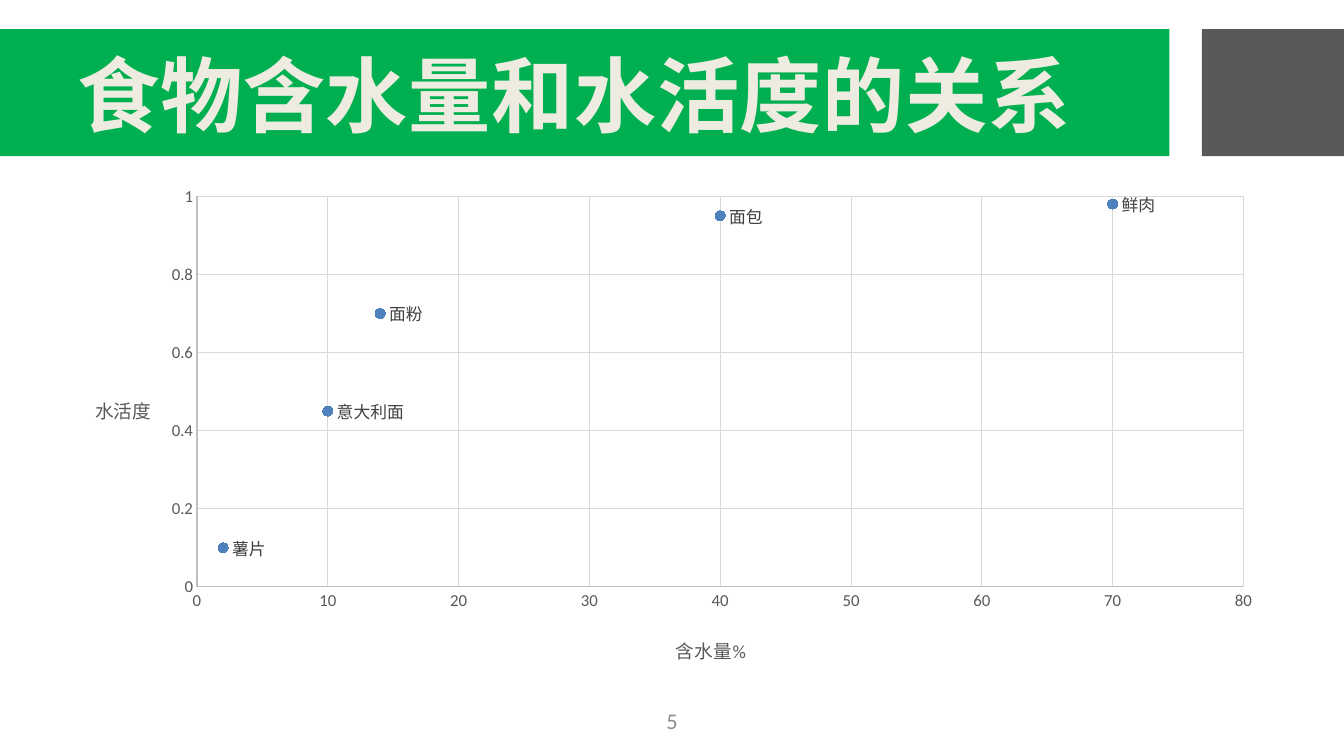
from lxml import etree
from pptx import Presentation
from pptx import util as u
from pptx.chart.data import XyChartData
from pptx.dml.color import RGBColor
from pptx.enum import chart as charts, shapes, text
from pptx.oxml.ns import qn

COLORS = {
    "green": "00B050", "gray": "595959", "cream": "EEECE1", "blue": "4F81BD",
    "axis": "BFBFBF", "grid": "D9D9D9", "label": "404040", "number": "8C8C8C",
}
FOODS = [("鲜肉", 70, 0.98), ("面包", 40, 0.95), ("面粉", 14, 0.7),
         ("意大利面", 10, 0.45), ("薯片", 2, 0.1)]


def place(parent, before, **values):
    """Give a chart part a manual layout, in fractions of the chart."""
    for old in parent.findall(qn("c:layout")):
        parent.remove(old)
    layout = etree.Element(qn("c:layout"))
    manual = etree.SubElement(layout, qn("c:manualLayout"))
    for name, value in values.items():
        etree.SubElement(manual, qn(f"c:{name}")).set("val", str(value))
    parent.find(qn(before)).addprevious(layout)


class SlideBuilder:
    def __init__(self, page):
        self.page = page

    def color(self, name):
        return RGBColor.from_string(COLORS[name])

    def style(self, font, size, color, name="Calibri", bold=False):
        font.size, font.name, font.bold = u.Pt(size), name, bold
        font.color.rgb = self.color(color)

    def line(self, line, color):
        line.color.rgb = self.color(color)
        line.width = u.Pt(0.75)

    def band(self, left, width, color):
        box = self.page.shapes.add_shape(
            shapes.MSO_SHAPE.RECTANGLE, u.Inches(left), u.Inches(0.29),
            u.Inches(width), u.Inches(1.26))
        box.shadow.inherit = False
        box.fill.solid()
        box.fill.fore_color.rgb = self.color(color)
        box.line.fill.background()
        # Bands belong behind the title placeholder
        self.page.shapes.title._element.addprevious(box._element)

    def title(self, words):
        box = self.page.shapes.title
        box.left, box.top = u.Inches(0.67), u.Inches(0.3)
        box.width, box.height = u.Inches(12), u.Inches(1.25)
        frame = box.text_frame
        frame.text = words
        frame.auto_size = text.MSO_AUTO_SIZE.NONE
        frame.vertical_anchor = text.MSO_ANCHOR.MIDDLE
        para = frame.paragraphs[0]
        para.alignment = text.PP_ALIGN.LEFT
        self.style(para.font, 58.7, "cream", "Arial", True)
        para.runs[0]._r.get_or_add_rPr().set("spc", "50")

    def page_number(self, number):
        box = self.page.shapes.add_textbox(
            u.Inches(5.11), u.Inches(6.95), u.Inches(3.11), u.Inches(0.4))
        frame = box.text_frame
        frame.word_wrap = True
        frame.vertical_anchor = text.MSO_ANCHOR.MIDDLE
        para = frame.paragraphs[0]
        para.text = number
        para.alignment = text.PP_ALIGN.CENTER
        self.style(para.font, 16, "number")

    def axis(self, axis, words, maximum, step, x, y):
        axis.minimum_scale, axis.maximum_scale, axis.major_unit = 0, maximum, step
        axis.major_tick_mark = axis.minor_tick_mark = charts.XL_TICK_MARK.NONE
        axis.has_major_gridlines = True
        self.line(axis.major_gridlines.format.line, "grid")
        self.line(axis.format.line, "axis")
        self.style(axis.tick_labels.font, 12, "gray")
        axis.tick_labels.number_format = "General"
        axis.tick_labels.number_format_is_linked = False
        frame = axis.axis_title.text_frame
        frame.text = words
        frame._txBody.bodyPr.set("rot", "0")
        frame._txBody.bodyPr.set("vert", "horz")
        self.style(frame.paragraphs[0].runs[0].font, 13.3, "gray")
        place(axis.axis_title._element, "c:overlay",
              xMode="edge", yMode="edge", x=x, y=y)

    def scatter(self, foods):
        data = XyChartData()
        points = data.add_series("Series 1")
        for _, water, activity in foods:
            points.add_data_point(water, activity)
        chart = self.page.shapes.add_chart(
            charts.XL_CHART_TYPE.XY_SCATTER, u.Inches(0.67), u.Inches(1.75),
            u.Inches(12), u.Inches(4.95), data).chart
        chart.has_legend = chart.has_title = False
        chart.font.size, chart.font.name = u.Pt(10), "Calibri"
        chart.plots[0].vary_by_categories = False
        self.axis(chart.category_axis, "含水量%", 80, 10, 0.5, 0.91)
        self.axis(chart.value_axis, "水活度", 1, 0.2, 0.02, 0.43)
        place(chart._chartSpace.chart.plotArea, "c:scatterChart",
              layoutTarget="inner", xMode="edge", yMode="edge",
              x=0.107, y=0.04, w=0.865, h=0.783)

        series = chart.plots[0].series[0]
        series.format.line.fill.background()
        marker = series.marker
        marker.style, marker.size = charts.XL_MARKER_STYLE.CIRCLE, 7
        marker.format.fill.solid()
        marker.format.fill.fore_color.rgb = self.color("blue")
        self.line(marker.format.line, "blue")
        for index, (name, _, _) in enumerate(foods):
            label = series.points[index].data_label
            label.text_frame.text = name
            label.position = charts.XL_LABEL_POSITION.RIGHT
            self.style(label.text_frame.paragraphs[0].runs[0].font, 12, "label")


def main():
    deck = Presentation()
    deck.slide_width, deck.slide_height = u.Inches(13.33), u.Inches(7.5)
    builder = SlideBuilder(deck.slides.add_slide(deck.slide_layouts[5]))
    builder.band(0, 11.6, "green")
    builder.band(11.92, 1.41, "gray")
    builder.title("食物含水量和水活度的关系")
    builder.scatter(FOODS)
    builder.page_number("5")
    deck.save("out.pptx")


if __name__ == "__main__":
    main()
